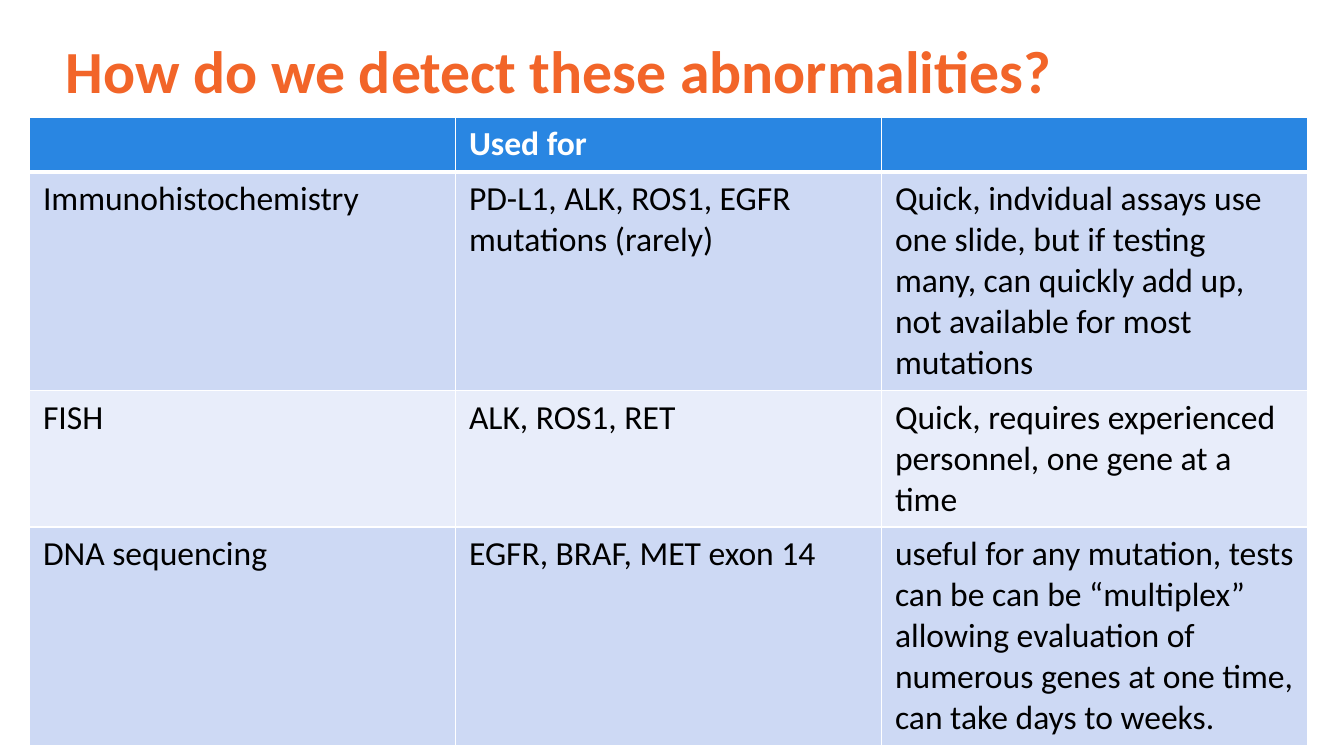
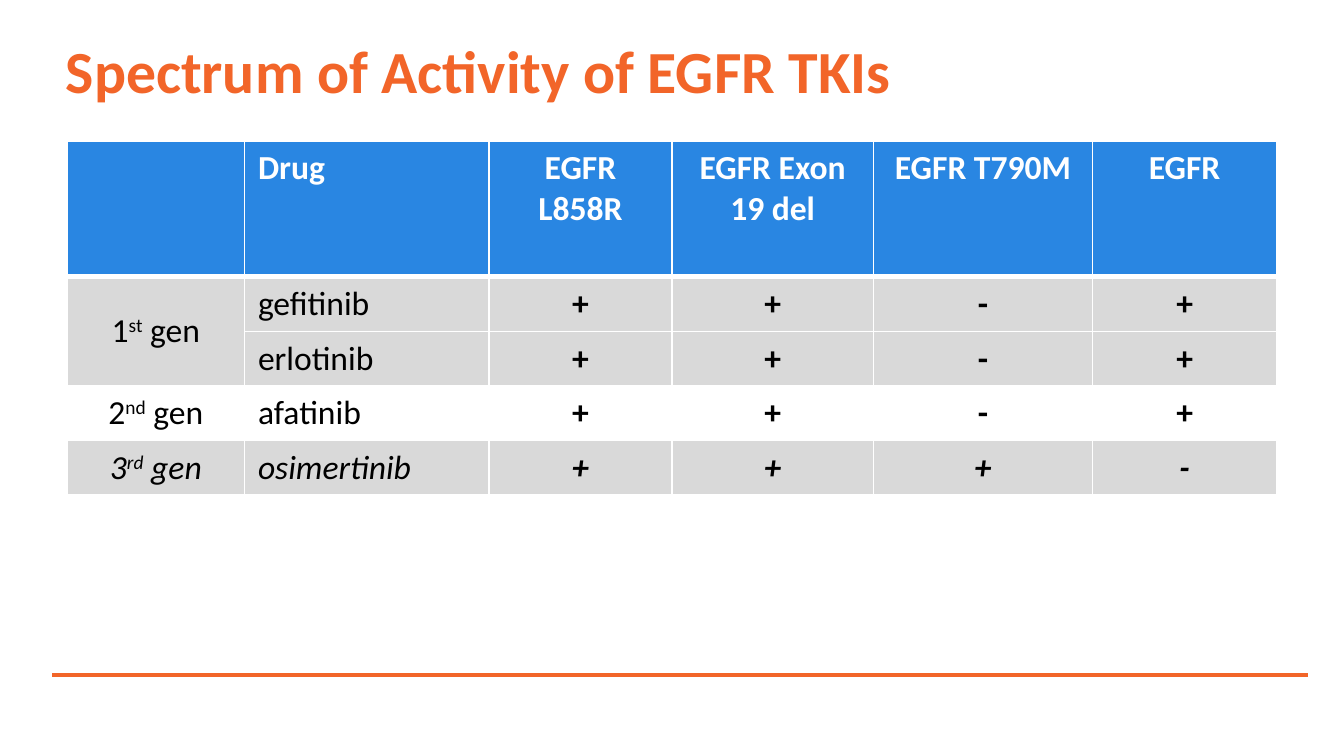
from lxml import etree
from pptx import Presentation
from pptx import util as u
from pptx.dml import color
from pptx.enum import shapes, text
from pptx.oxml import ns

FONT = "Calibri"
ORANGE = "F26529"
BLUE = "2986E2"
WHITE = "FFFFFF"
BLACK = "000000"
GREY = "D9D9D9"
PALE_BLUES = ("CDD9F4", "E8EDFA")

CENTER = text.PP_ALIGN.CENTER
LEFT = text.PP_ALIGN.LEFT

METHODS = [
    ["", "Used for", ""],
    ["Immunohistochemistry", "PD-L1, ALK, ROS1, EGFR mutations (rarely)",
     "Quick, indvidual assays use one slide, but if testing many, "
     "can quickly add up, not available for most mutations"],
    ["FISH", "ALK, ROS1, RET",
     "Quick, requires experienced personnel, one gene at a time"],
    ["DNA sequencing", "EGFR, BRAF, MET exon 14",
     "useful for any mutation, tests can be can be “multiplex” allowing "
     "evaluation of numerous genes at one time, can take days to weeks."],
]

ACTIVITY_HEADER = ["", "Drug", "EGFR L858R", "EGFR Exon 19 del", "EGFR T790M", "EGFR"]
DRUGS = [
    (("1", "st"), "gefitinib", "++-+", GREY),
    (None, "erlotinib", "++-+", GREY),
    (("2", "nd"), "afatinib", "++-+", None),
    (("3", "rd"), "osimertinib", "+++-", GREY),
]


def rgb(value):
    return color.RGBColor.from_string(value)


def style(paragraph, size, ink, bold=False, italic=False, align=LEFT):
    paragraph.alignment = align
    font = paragraph.font
    font.name, font.size = FONT, u.Pt(size)
    font.bold, font.italic = bold, italic
    font.color.rgb = rgb(ink)


def set_borders(cell, top=1, bottom=1):
    props = cell._tc.get_or_add_tcPr()
    sides = (("L", 1), ("R", 1), ("T", top), ("B", bottom))
    for position, (side, width) in enumerate(sides):
        line = etree.Element(ns.qn(f"a:ln{side}"), w=str(u.Pt(width)))
        fill = etree.SubElement(line, ns.qn("a:solidFill"))
        etree.SubElement(fill, ns.qn("a:srgbClr"), val=WHITE)
        props.insert(position, line)


def paint_cell(cell, fill, **borders):
    if fill:
        cell.fill.solid()
        cell.fill.fore_color.rgb = rgb(fill)
    else:
        cell.fill.background()
    set_borders(cell, **borders)


def write_cell(cell, words, ink=BLACK, **look):
    cell.text = words
    style(cell.text_frame.paragraphs[0], 18, ink, **look)


def write_generation(cell, number, suffix, italic):
    paragraph = cell.text_frame.paragraphs[0]
    for words in (number, suffix, " gen"):
        run = paragraph.add_run()
        run.text = words
        if words == suffix:
            run._r.get_or_add_rPr().set("baseline", "30000")
    style(paragraph, 18, BLACK, italic=italic, align=CENTER)
    cell.vertical_anchor = text.MSO_ANCHOR.MIDDLE


def add_grid(slide, left, top, widths, heights, fills):
    grid = slide.shapes.add_table(
        len(heights), len(widths), u.Inches(left), u.Inches(top),
        u.Inches(sum(widths)), u.Inches(sum(heights))).table
    grid.horz_banding = False
    for column, width in zip(grid.columns, widths):
        column.width = u.Inches(width)
    for index, (row, height, fill) in enumerate(zip(grid.rows, heights, fills)):
        row.height = u.Inches(height)
        for cell in row.cells:
            paint_cell(cell, fill, top=3 if index == 1 else 1,
                       bottom=3 if index == 0 else 1)
    return grid


def add_footer_rule(slide, left, top, width):
    rule = slide.shapes.add_connector(
        shapes.MSO_CONNECTOR.STRAIGHT, u.Inches(left), u.Inches(top),
        u.Inches(left + width), u.Inches(top))
    rule.line.color.rgb = rgb(ORANGE)
    rule.line.width = u.Pt(2.25)
    etree.SubElement(rule._element.spPr, ns.qn("a:effectLst"))


def add_titled_slide(deck, heading):
    slide = deck.slides.add_slide(deck.slide_layouts[5])
    add_footer_rule(slide, 0.39, 5.02, 9.34)
    title = slide.shapes.title
    title.left, title.top = u.Inches(0.39), u.Inches(0.07)
    title.width, title.height = u.Inches(9.35), u.Inches(0.89)
    title.text_frame.text = heading
    title.text_frame.vertical_anchor = text.MSO_ANCHOR.MIDDLE
    style(title.text_frame.paragraphs[0], 32, ORANGE, bold=True)
    return slide


def add_methods(slide, left, top, width):
    columns = len(METHODS[0])
    fills = [BLUE] + [PALE_BLUES[i % 2] for i in range(len(METHODS) - 1)]
    grid = add_grid(slide, left, top, [width / columns] * columns,
                    [0.41] * len(METHODS), fills)
    for r, row in enumerate(METHODS):
        for c, words in enumerate(row):
            write_cell(grid.cell(r, c), words,
                       ink=BLACK if r else WHITE, bold=r == 0)


def add_activity(slide, left, top):
    fills = [BLUE] + [drug[-1] for drug in DRUGS]
    grid = add_grid(slide, left, top, [1.32, 1.82, 1.36, 1.5, 1.63, 1.37],
                    [1.01] + [0.4] * len(DRUGS), fills)
    for c, words in enumerate(ACTIVITY_HEADER):
        write_cell(grid.cell(0, c), words, ink=WHITE, bold=True,
                   align=CENTER if c > 1 else LEFT)
    grid.cell(1, 0).merge(grid.cell(2, 0))
    for r, (generation, drug, responses, _) in enumerate(DRUGS, 1):
        italic = r == len(DRUGS)
        if generation:
            write_generation(grid.cell(r, 0), *generation, italic)
        write_cell(grid.cell(r, 1), drug, italic=italic)
        for c, response in enumerate(responses, 2):
            write_cell(grid.cell(r, c), response, bold=True,
                       italic=italic, align=CENTER)


def main():
    deck = Presentation()
    deck.slide_width = u.Inches(10)
    deck.slide_height = deck.slide_width * 9 // 16
    detection = add_titled_slide(deck, "How do we detect these abnormalities?")
    add_methods(detection, 0.22, 0.87, 9.51)
    spectrum = add_titled_slide(deck, "Spectrum of Activity of EGFR TKIs")
    add_activity(spectrum, 0.5, 1.05)
    deck.save("out.pptx")


if __name__ == "__main__":
    main()
